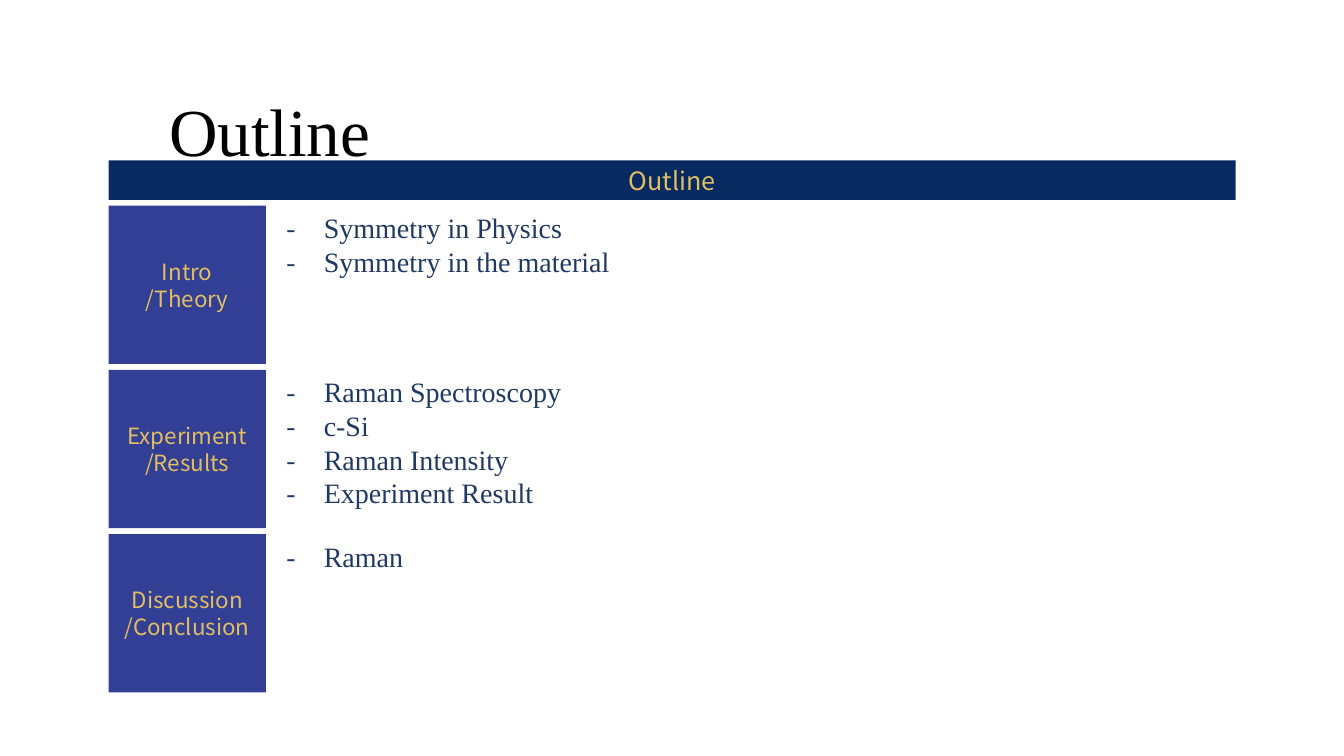
"""Build the outline slide of a talk on symmetry and Raman spectroscopy."""
from lxml import etree
from pptx import Presentation
from pptx.dml.color import RGBColor
from pptx.enum.shapes import MSO_SHAPE
from pptx.enum.text import MSO_ANCHOR, MSO_AUTO_SIZE, PP_ALIGN
from pptx.oxml.ns import qn
from pptx.util import Cm, Pt

RECT = MSO_SHAPE.RECTANGLE
MIDDLE = MSO_ANCHOR.MIDDLE
CENTER = PP_ALIGN.CENTER
GROW = MSO_AUTO_SIZE.SHAPE_TO_FIT_TEXT

SANS = "Noto Sans CJK KR"
SERIF = "Times New Roman"
COLORS = {"bar": "072A60", "label": "323F94", "gold": "E1BE63",
          "title": "000000", "item": "203864"}

LEFT, TOP, STEP = 2.74, 5.18, 4.14
PARTS = [
    (["Intro", "/Theory"], 16.61, 1.96,
     ["Symmetry in Physics", "Symmetry in the material"]),
    (["Experiment", "/Results"], 16.61, 3.68,
     ["Raman Spectroscopy", "c-Si", "Raman Intensity", "Experiment Result"]),
    (["Discussion", "/Conclusion"], 19.96, 1.12, ["Raman"]),
]


def color(name):
    """Return the named colour."""
    return RGBColor.from_string(COLORS[name])


def write(frame, lines, font, size, tint):
    """Fill a text frame with one paragraph per line."""
    frame.word_wrap = True
    for i, line in enumerate(lines):
        para = frame.paragraphs[0] if i == 0 else frame.add_paragraph()
        para.text = line
        para.font.name = font
        para.font.size = Pt(size)
        para.font.color.rgb = color(tint)


def add_block(slide, box, fill, lines, size):
    """Add a filled rectangle with centred gold text."""
    shape = slide.shapes.add_shape(RECT, *map(Cm, box))
    shape.shadow.inherit = False
    shape.fill.solid()
    shape.fill.fore_color.rgb = color(fill)
    shape.line.fill.background()
    frame = shape.text_frame
    frame.vertical_anchor = MIDDLE
    write(frame, lines, SANS, size, "gold")
    for para in frame.paragraphs:
        para.alignment = CENTER


def add_text(slide, box, lines, size, tint):
    """Add a serif text box that grows with its text."""
    frame = slide.shapes.add_textbox(*map(Cm, box)).text_frame
    write(frame, lines, SERIF, size, tint)
    frame.auto_size = GROW
    return frame


def add_dash(para):
    """Give a paragraph a hanging dash bullet."""
    props = para._p.get_or_add_pPr()
    props.set("marL", str(Cm(0.95)))
    props.set("indent", str(-Cm(0.95)))
    marks = [("a:buFont", "typeface", SANS), ("a:buChar", "char", "-")]
    for i, (tag, key, value) in enumerate(marks):
        mark = etree.Element(qn(tag))
        mark.set(key, value)
        props.insert(i, mark)


def main():
    """Build and save the slide."""
    deck = Presentation()
    deck.slide_width, deck.slide_height = Cm(33.87), Cm(19.05)
    slide = deck.slides.add_slide(deck.slide_layouts[6])

    add_text(slide, (4.01, 2.13, 13.72, 2.39), ["Outline"], 48, "title")
    add_block(slide, (LEFT, 4.04, 28.4, 1), "bar", ["Outline"], 18)
    for row, (label, width, height, items) in enumerate(PARTS):
        top = TOP + row * STEP
        add_block(slide, (LEFT, top, 3.96, 3.99), "label", label, 16)
        frame = add_text(slide, (6.96, top, width, height), items, 20, "item")
        for para in frame.paragraphs:
            add_dash(para)

    deck.save("out.pptx")


if __name__ == "__main__":
    main()
